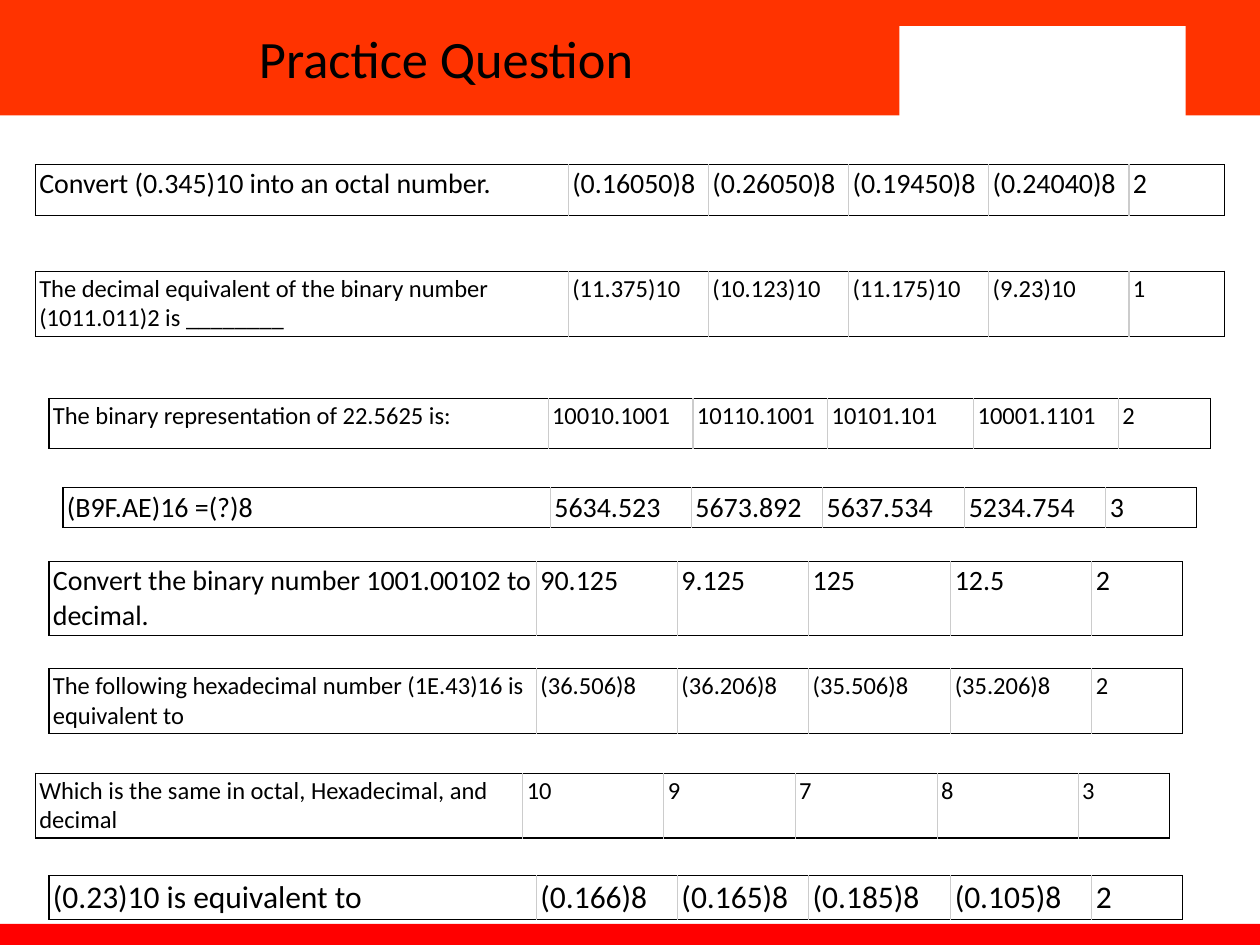
from lxml.etree import SubElement
from pptx import Presentation
from pptx.dml.color import RGBColor
from pptx.enum.shapes import MSO_SHAPE as SHAPE
from pptx.enum.text import MSO_ANCHOR as ANCHOR, PP_ALIGN as ALIGN
from pptx.oxml.ns import qn
from pptx.util import Pt

ORANGE = RGBColor(0xFF, 0x33, 0x00)
RED = RGBColor(0xFF, 0x00, 0x00)
WHITE = RGBColor(0xFF, 0xFF, 0xFF)
BLACK = RGBColor(0x00, 0x00, 0x00)
GREY = RGBColor(0xCC, 0xCC, 0xCC)
FONT = "Calibri"


def set_font(p, size):
    for name, value in {"name": FONT, "size": Pt(size)}.items():
        setattr(p.font, name, value)
    p.font.color.rgb = BLACK


def add_border(cell, side, color):
    ln = SubElement(cell._tc.get_or_add_tcPr(), qn(f"a:ln{side}"), w=str(Pt(0.75)))
    fill = SubElement(ln, qn("a:solidFill"))
    SubElement(fill, qn("a:srgbClr"), val=str(color))


prs = Presentation()
prs.slide_width, prs.slide_height = Pt(720), Pt(540)
s = prs.slides.add_slide(prs.slide_layouts[5])

# Header band, white logo area and footer band
for left, top, width, height, color in [
    (0, 0, 720, 66, ORANGE),
    (0, 528, 720, 15.6, RED),
    (514, 15, 163.5, 54, WHITE),
]:
    sp = s.shapes.add_shape(SHAPE.RECTANGLE, Pt(left), Pt(top), Pt(width), Pt(height))
    sp.shadow.inherit = False
    sp.fill.solid()
    sp.fill.fore_color.rgb = color
    sp.line.fill.background()

# Title, placed in front of the header band
title = s.shapes.title
box = {"left": 0, "top": 0, "width": Pt(510), "height": Pt(66)}
for name, value in box.items():
    setattr(title, name, value)
tf = title.text_frame
tf.text = "Practice Question"
tf.vertical_anchor = ANCHOR.MIDDLE
p = tf.paragraphs[0]
p.alignment = ALIGN.CENTER
set_font(p, 30)
s.shapes._spTree.append(title._element)

# Column widths: question, four options, answer number
WIDE = [304.6, 80.1, 80.1, 80.1, 80.1, 54.6]
MEDIUM = [285.2, 82.8, 77, 83.4, 82.8, 52.6]
NARROW = [278.6, 80.6, 75, 81.2, 80.6, 52]

# Left, top, row height, column widths, text size, cell texts
questions = [
    (20.2, 94.1, 28.8, WIDE, 16,
     ["Convert (0.345)10 into an octal number.",
      "(0.16050)8", "(0.26050)8", "(0.19450)8", "(0.24040)8", "2"]),
    (20.2, 155, 36.9, WIDE, 14,
     ["The decimal equivalent of the binary number (1011.011)2 is ________",
      "(11.375)10", "(10.123)10", "(11.175)10", "(9.23)10", "1"]),
    (28, 227.7, 28.8, MEDIUM, 14,
     ["The binary representation of 22.5625 is:",
      "10010.1001", "10110.1001", "10101.101", "10001.1101", "2"]),
    (36, 278.8, 21.8, NARROW, 16,
     ["(B9F.AE)16 =(?)8",
      "5634.523", "5673.892", "5637.534", "5234.754", "3"]),
    (28, 320.9, 41.4, NARROW, 16,
     ["Convert the binary number 1001.00102 to decimal.",
      "90.125", "9.125", "125", "12.5", "2"]),
    (28, 382.2, 36.9, NARROW, 14,
     ["The following hexadecimal number (1E.43)16 is equivalent to",
      "(36.506)8", "(36.206)8", "(35.506)8", "(35.206)8", "2"]),
    (20.2, 441.8, 36.9, NARROW, 14,
     ["Which is the same in octal, Hexadecimal, and decimal",
      "10", "9", "7", "8", "3"]),
    (28, 500.5, 24.5, NARROW, 18,
     ["(0.23)10 is equivalent to",
      "(0.166)8", "(0.165)8", "(0.185)8", "(0.105)8", "2"]),
]
margins = {"margin_left": Pt(2.25), "margin_right": Pt(2.25),
           "margin_top": Pt(1.5), "margin_bottom": Pt(1.5)}

# One single-row table per question
for left, top, height, widths, size, texts in questions:
    frame = s.shapes.add_table(1, len(texts), Pt(left), Pt(top),
                               Pt(sum(widths)), Pt(height))
    table = frame.table
    table.first_row = table.horz_banding = False
    last = len(texts) - 1
    for i, (width, text) in enumerate(zip(widths, texts)):
        table.columns[i].width = Pt(width)
        cell = table.cell(0, i)
        cell.text = text
        for name, value in margins.items():
            setattr(cell, name, value)
        set_font(cell.text_frame.paragraphs[0], size)
        # Black outline, grey separators between columns
        add_border(cell, "L", BLACK if i == 0 else GREY)
        add_border(cell, "R", BLACK if i == last else GREY)
        add_border(cell, "T", BLACK)
        add_border(cell, "B", BLACK)
        cell.fill.solid()
        cell.fill.fore_color.rgb = WHITE

prs.save("out.pptx")
